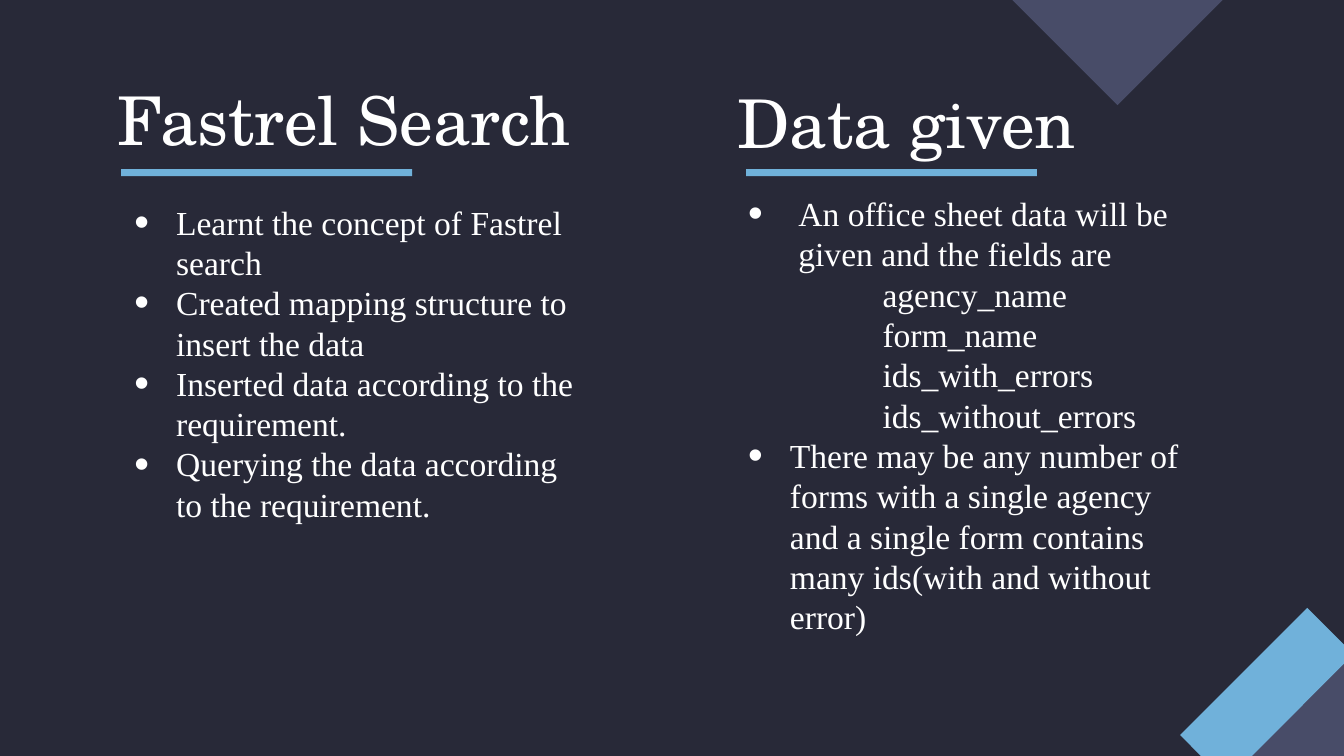
from lxml.etree import SubElement
from pptx import Presentation
from pptx.dml.color import RGBColor
from pptx.enum.shapes import MSO_SHAPE
from pptx.enum.text import MSO_ANCHOR
from pptx.oxml.ns import qn
from pptx.util import Cm, Pt

HUES = {"night": "282938", "slate": "484C68", "sky": "70B1DA", "white": "FFFFFF"}
HUES = {name: RGBColor.from_string(code) for name, code in HUES.items()}

deck = Presentation()
deck.slide_width, deck.slide_height = Cm(25.4), Cm(14.29)
slide = deck.slides.add_slide(deck.slide_layouts[6])
slide.background.fill.solid()
slide.background.fill.fore_color.rgb = HUES["night"]


def add_block(left, top, width, height, hue, turn=0):
    block = slide.shapes.add_shape(
        MSO_SHAPE.RECTANGLE, Cm(left), Cm(top), Cm(width), Cm(height))
    block.shadow.inherit = False
    block.fill.solid()
    block.fill.fore_color.rgb = HUES[hue]
    block.line.fill.background()
    block.rotation = turn


def add_text(left, top, width, height, lines, font, size):
    frame = slide.shapes.add_textbox(
        Cm(left), Cm(top), Cm(width), Cm(height)).text_frame
    frame.word_wrap = True
    frame.margin_left = frame.margin_right = Cm(0.25)
    frame.margin_top = frame.margin_bottom = Cm(0.25)
    frame.text = "\n".join(lines)
    for para in frame.paragraphs:
        para.font.name = font
        para.font.size = Pt(size)
        para.font.color.rgb = HUES["white"]
    return frame


# Corner blocks
add_block(17.96, -5.64, 6.32, 6.32, "slate", 45)
add_block(23.9, 12.57, 2.36, 3.4, "slate", 45)
add_block(23.32, 11.43, 1.24, 3.4, "sky", 45)

# Headings, each with a rule below
for title, left, top, rule in [
    ("Fastrel Search", 1.98, 1.5, 2.29),
    ("Data given", 13.69, 1.55, 14.1),
]:
    head = add_text(left, top, 10.72, 1.5, [title], "TeX Gyre Schola", 36)
    head.vertical_anchor = MSO_ANCHOR.MIDDLE
    add_block(rule, 3.2, 5.5, 0.13, "sky")

# Body lists: text, indent, bullet or not
steps = [(line, 0.79, True) for line in [
    "Learnt the concept of Fastrel search",
    "Created mapping structure to insert the data",
    "Inserted data according to the requirement.",
    "Querying the data according to the requirement.",
]]
fields = [(name, 2.54, False) for name in [
    "agency_name", "form_name", "ids_with_errors", "ids_without_errors"]]
data = [
    ("An office sheet data will be given and the fields are", 0.95, True),
    *fields,
    ("There may be any number of forms with a single agency and a single "
     "form contains many ids(with and without error)", 0.79, True),
]
for left, top, items in [(2.29, 3.56, steps), (13.89, 3.4, data)]:
    body = add_text(left, top, 8.81, 8.2, [item[0] for item in items],
                    "Times New Roman", 18)
    for para, (line, indent, dot) in zip(body.paragraphs, items):
        para.line_spacing = Pt(21.6)
        props = para._p.get_or_add_pPr()
        props.set("marL", str(Cm(indent)))
        if dot:
            props.set("indent", str(-Cm(indent)))
            size = SubElement(props, qn("a:buSzPct"), val="125000")
            face = SubElement(props, qn("a:buFont"), typeface="Arial")
            mark = SubElement(props, qn("a:buChar"), char="•")
            # Bullet marks stand ahead of the default run format
            for part in (size, face, mark):
                props.find(qn("a:defRPr")).addprevious(part)

deck.save("out.pptx")
